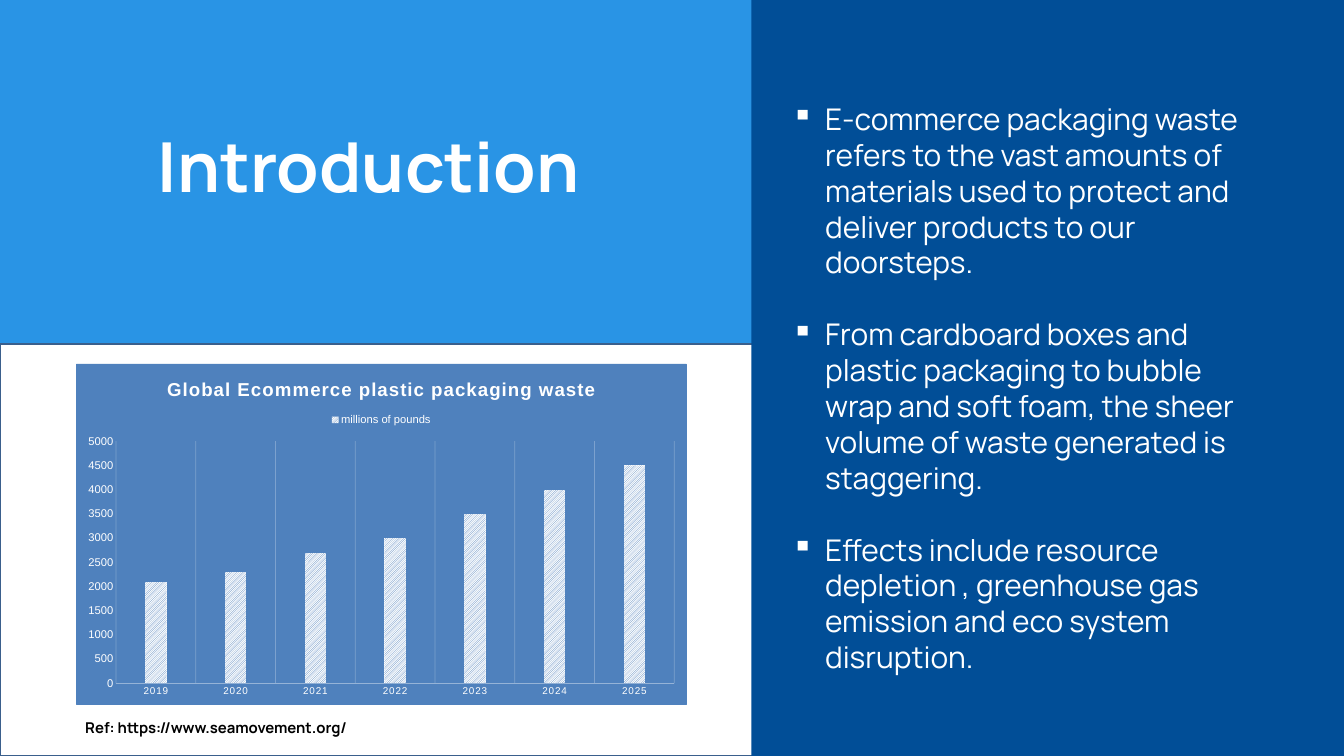
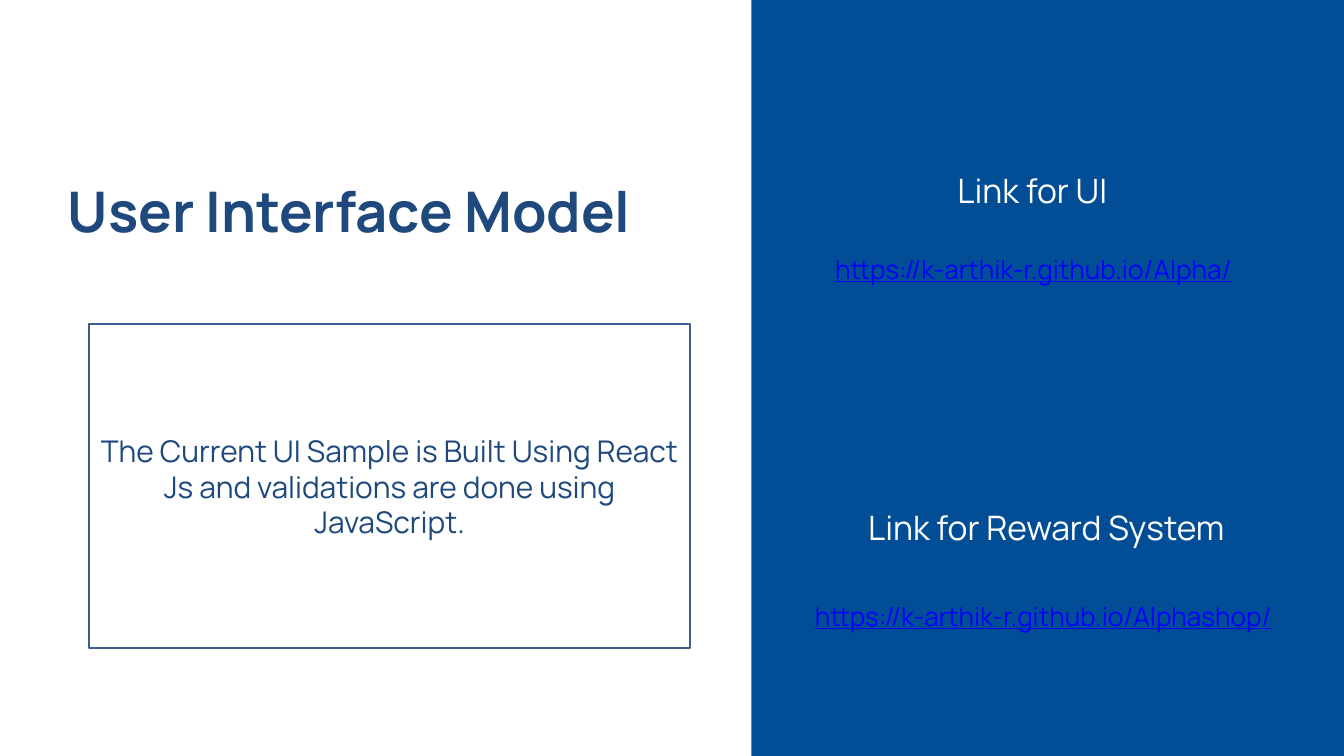
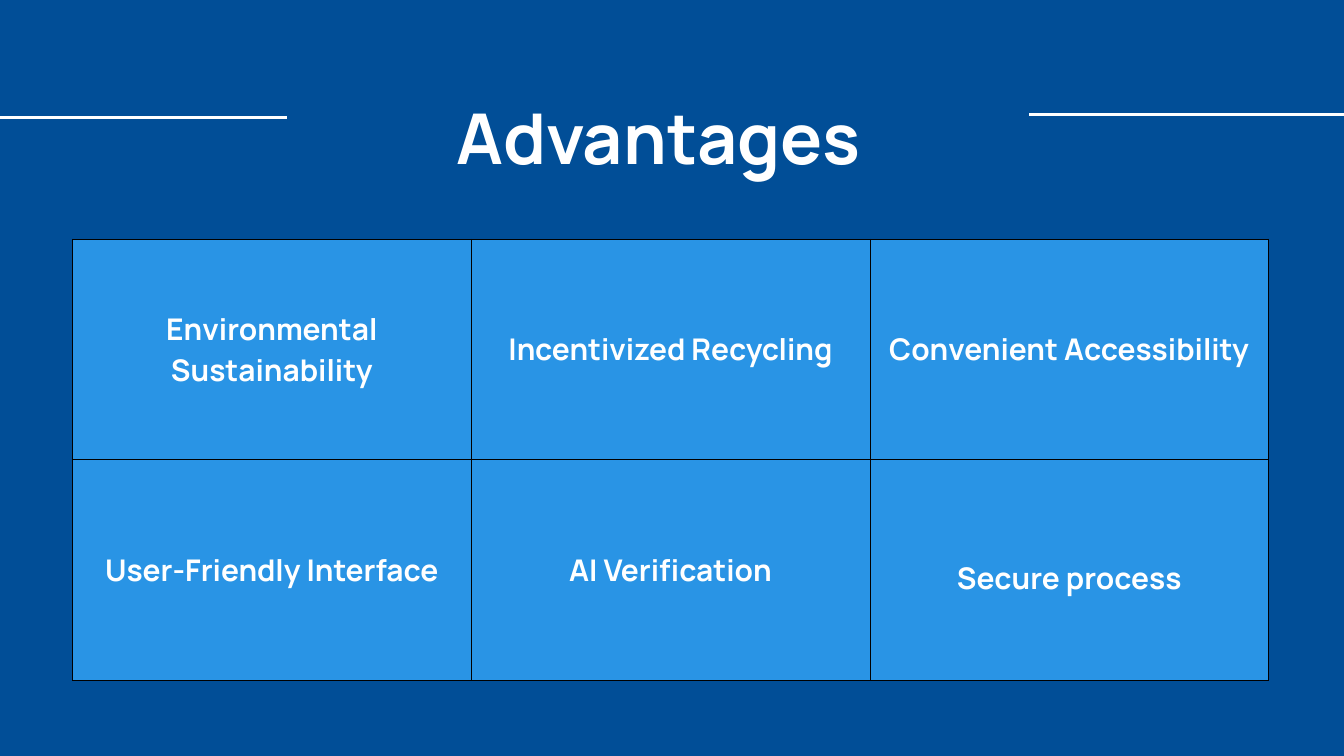
"""Build three slides on e-commerce packaging waste and its recycling app."""
from dataclasses import dataclass

from lxml.etree import SubElement
from pptx import Presentation
from pptx.chart.data import CategoryChartData
from pptx.dml.color import RGBColor
from pptx.enum.chart import XL_CHART_TYPE as ChartType
from pptx.enum.chart import XL_LEGEND_POSITION as LegendPosition
from pptx.enum.chart import XL_TICK_MARK as TickMark
from pptx.enum.dml import MSO_PATTERN as Pattern
from pptx.enum.shapes import MSO_CONNECTOR as Connector
from pptx.enum.shapes import MSO_SHAPE as ShapeType
from pptx.enum.text import MSO_ANCHOR as Anchor
from pptx.enum.text import PP_ALIGN as Align
from pptx.oxml import parse_xml
from pptx.oxml.ns import nsdecls, qn
from pptx.util import Inches, Pt


@dataclass(frozen=True)
class Theme:
    sky: RGBColor = RGBColor.from_string("2994E5")
    navy: RGBColor = RGBColor.from_string("014E97")
    ink: RGBColor = RGBColor.from_string("1F497D")
    outline: RGBColor = RGBColor.from_string("3A5F8C")
    chart: RGBColor = RGBColor.from_string("4F81BD")
    axis: RGBColor = RGBColor.from_string("95B3D7")
    link: RGBColor = RGBColor.from_string("0000FF")
    white: RGBColor = RGBColor.from_string("FFFFFF")
    black: RGBColor = RGBColor.from_string("000000")
    font: str = "Manrope"
    chart_font: str = "Arial"
    heading: float = 36
    body: float = 32
    url: float = 28
    reference: float = 16
    chart_title: float = 20
    chart_label: float = 12
    category_label: float = 10.6


THEME = Theme()


@dataclass(frozen=True)
class Box:
    left: float
    top: float
    width: float
    height: float

    def lengths(self) -> tuple:
        return tuple(Inches(n) for n in (self.left, self.top, self.width, self.height))


@dataclass(frozen=True)
class Style:
    size: float = THEME.body
    color: RGBColor = THEME.white
    bold: bool = False
    underline: bool = False
    name: str = THEME.font


@dataclass(frozen=True)
class Label:
    text: str
    box: Box
    style: Style


SLIDE_WIDTH, SLIDE_HEIGHT = 20, 11.25
PANEL = Box(11.18, 0, 8.82, SLIDE_HEIGHT)
BULLETS = (
    "E-commerce packaging waste refers to the vast amounts of materials used to "
    "protect and deliver products to our doorsteps.",
    "From cardboard boxes and plastic packaging to bubble wrap and soft foam, the "
    "sheer volume of waste generated is staggering.",
    "Effects include resource depletion , greenhouse gas emission and eco system "
    "disruption.",
)
WASTE = {"2019": 2100, "2020": 2300, "2021": 2700, "2022": 3000,
         "2023": 3500, "2024": 4000, "2025": 4500}
HEADING = Style(THEME.heading)
URL = Style(THEME.url, THEME.link, underline=True)
LINK_LABELS = (
    Label("Link for UI", Box(14.15, 2.48, 2.85, 1.11), HEADING),
    Label("https://k-arthik-r.github.io/Alpha/", Box(12.33, 3.72, 6.3, 0.57), URL),
    Label("Link for Reward System", Box(12.82, 7.49, 5.85, 1.11), HEADING),
    Label("https://k-arthik-r.github.io/Alphashop/", Box(12.03, 8.89, 7.3, 0.57), URL),
)
ADVANTAGES = (
    ("Environmental Sustainability", "Incentivized Recycling", "Convenient Accessibility"),
    ("User-Friendly Interface", "AI Verification", "Secure process"),
)


def apply_font(font, style: Style) -> None:
    font.name, font.size, font.bold = style.name, Pt(style.size), style.bold
    font.color.rgb = style.color
    if style.underline:
        font.underline = True


def new_slide(presentation, color: RGBColor):
    slide = presentation.slides.add_slide(presentation.slide_layouts[6])
    slide.background.fill.solid()
    slide.background.fill.fore_color.rgb = color
    return slide


def add_rectangle(slide, box: Box, fill: RGBColor, outline: RGBColor | None = None):
    shape = slide.shapes.add_shape(ShapeType.RECTANGLE, *box.lengths())
    shape.shadow.inherit = False
    shape.fill.solid()
    shape.fill.fore_color.rgb = fill
    if outline is None:
        shape.line.fill.background()
    else:
        shape.line.color.rgb, shape.line.width = outline, Pt(2)
    return shape


def add_label(slide, label: Label):
    frame = slide.shapes.add_textbox(*label.box.lengths()).text_frame
    frame.word_wrap = True
    paragraph = frame.paragraphs[0]
    paragraph.text = label.text
    apply_font(paragraph.font, label.style)
    return frame


def add_title(slide, label: Label, align: Align = Align.LEFT) -> None:
    frame = add_label(slide, label)
    frame.margin_left = frame.margin_right = frame.margin_top = frame.margin_bottom = 0
    frame.paragraphs[0].line_spacing = 1.2
    frame.paragraphs[0].alignment = align


def add_bullets(slide, box: Box, texts: tuple[str, ...]) -> None:
    frame = slide.shapes.add_textbox(*box.lengths()).text_frame
    frame.word_wrap = True
    for index, text in enumerate(texts):
        paragraph = frame.add_paragraph() if index else frame.paragraphs[0]
        paragraph.text = text
        properties = paragraph._p.get_or_add_pPr()
        properties.set("marL", str(Inches(0.5)))
        properties.set("indent", str(-Inches(0.5)))
        color = SubElement(properties, qn("a:buClr"))
        SubElement(color, qn("a:srgbClr"), val=str(THEME.white))
        SubElement(properties, qn("a:buChar"), char="▪")
        if index:
            paragraph.space_before = Pt(38.6)
        apply_font(paragraph.font, Style())


def add_waste_chart(slide, box: Box) -> None:
    data = CategoryChartData()
    data.categories = list(WASTE)
    data.add_series("millions of pounds", list(WASTE.values()))
    chart = slide.shapes.add_chart(ChartType.COLUMN_CLUSTERED, *box.lengths(), data).chart
    label_style = Style(THEME.chart_label, name=THEME.chart_font)
    apply_font(chart.font, label_style)
    chart._chartSpace.xpath("c:txPr")[0].addprevious(parse_xml(
        f'<c:spPr {nsdecls("c", "a")}><a:solidFill><a:srgbClr val="{THEME.chart}"/></a:solidFill>'
        f'<a:ln w="{Pt(0.75)}"><a:solidFill><a:srgbClr val="{THEME.chart}"/></a:solidFill></a:ln>'
        "</c:spPr>"))

    title = chart.chart_title.text_frame.paragraphs[0]
    title.text = "Global Ecommerce plastic packaging waste"
    title_font = title.runs[0].font
    apply_font(title_font, Style(THEME.chart_title, bold=True, name=THEME.chart_font))
    title_font._rPr.set("spc", "100")

    chart.has_legend = True
    chart.legend.position = LegendPosition.TOP
    chart.legend.include_in_layout = False
    apply_font(chart.legend.font, label_style)

    plot = chart.plots[0]
    plot.gap_width, plot.overlap, plot.vary_by_categories = 269, -20, False
    fill = plot.series[0].format.fill
    fill.patterned()
    fill.pattern = Pattern.LIGHT_UPWARD_DIAGONAL
    fill.fore_color.rgb, fill.back_color.rgb = THEME.chart, THEME.white

    values, years = chart.value_axis, chart.category_axis
    for axis in (values, years):
        axis.major_tick_mark = axis.minor_tick_mark = TickMark.NONE
    values.minimum_scale, values.maximum_scale, values.major_unit = 0, 5000, 500
    values.has_major_gridlines = False
    values.format.line.fill.background()
    apply_font(values.tick_labels.font, label_style)

    years.format.line.color.rgb, years.format.line.width = THEME.axis, Pt(0.25)
    years.has_major_gridlines = True
    grid = years.major_gridlines.format.line
    grid.color.rgb, grid.width = THEME.white, Pt(0.75)
    grid_color = years._element.xpath("c:majorGridlines//a:srgbClr")[0]
    SubElement(grid_color, qn("a:alpha"), val="25000")
    year_font = years.tick_labels.font
    apply_font(year_font, Style(THEME.category_label, name=THEME.chart_font))
    year_font._rPr.set("spc", "100")


def add_rule(slide, left: float, right: float, top: float) -> None:
    line = slide.shapes.add_connector(
        Connector.STRAIGHT, Inches(left), Inches(top), Inches(right), Inches(top))
    line.line.color.rgb, line.line.width = THEME.white, Pt(3)
    SubElement(line._element.spPr, qn("a:effectLst"))


def add_borders(cell) -> None:
    properties = cell._tc.get_or_add_tcPr()
    for index, side in enumerate(("lnL", "lnR", "lnT", "lnB")):
        properties.insert(index, parse_xml(
            f'<a:{side} {nsdecls("a")} w="{Pt(0.75)}"><a:solidFill>'
            f'<a:srgbClr val="{THEME.black}"/></a:solidFill></a:{side}>'))


def add_advantages_table(slide, box: Box) -> None:
    rows, columns = len(ADVANTAGES), len(ADVANTAGES[0])
    table = slide.shapes.add_table(rows, columns, *box.lengths()).table
    table.first_row = table.horz_banding = False
    for row, texts in enumerate(ADVANTAGES):
        for column, text in enumerate(texts):
            cell = table.cell(row, column)
            cell.fill.solid()
            cell.fill.fore_color.rgb = THEME.sky
            cell.vertical_anchor = Anchor.MIDDLE
            cell.margin_left = cell.margin_right = Inches(0.21)
            cell.margin_top = cell.margin_bottom = Inches(0.21)
            add_borders(cell)
            paragraph = cell.text_frame.paragraphs[0]
            paragraph.text, paragraph.alignment = text, Align.CENTER
            apply_font(paragraph.font, Style(bold=True))
    table.cell(rows - 1, columns - 1).text_frame.paragraphs[0].line_spacing = 1.4


def build_introduction(presentation) -> None:
    slide = new_slide(presentation, THEME.sky)
    add_rectangle(slide, Box(0, 5.12, 11.35, 6.13), THEME.white, THEME.outline)
    add_rectangle(slide, PANEL, THEME.navy)
    add_title(slide, Label("Introduction", Box(2.35, 1.59, 6.43, 1.49), Style(73.8, bold=True)))
    add_bullets(slide, Box(11.68, 1.45, 7.15, 9.26), BULLETS)
    add_waste_chart(slide, Box(1.13, 5.41, 9.09, 5.07))
    add_label(slide, Label("Ref: https://www.seamovement.org/", Box(1.17, 10.65, 9.05, 0.37),
                           Style(THEME.reference, THEME.black, bold=True)))


def build_interface(presentation) -> None:
    slide = new_slide(presentation, THEME.white)
    note = add_rectangle(slide, Box(1.33, 4.82, 8.94, 4.83), THEME.white, THEME.outline)
    note.text_frame.word_wrap = True
    note.text_frame.vertical_anchor = Anchor.MIDDLE
    paragraph = note.text_frame.paragraphs[0]
    paragraph.text = ("The Current UI Sample is Built Using React Js and validations "
                      "are done using JavaScript.")
    paragraph.alignment = Align.CENTER
    apply_font(paragraph.font, Style(color=THEME.ink))
    add_rectangle(slide, PANEL, THEME.navy)
    add_title(slide, Label("User Interface Model", Box(1.01, 2.43, 9.47, 1.21),
                           Style(60, THEME.ink, bold=True)))
    for label in LINK_LABELS:
        add_label(slide, label)


def build_advantages(presentation) -> None:
    slide = new_slide(presentation, THEME.navy)
    add_advantages_table(slide, Box(1.08, 3.56, 17.8, 6.56))
    add_title(slide, Label("Advantages", Box(5.06, 1.16, 9.48, 1.51), Style(75, bold=True)),
              Align.CENTER)
    add_rule(slide, -2.83, 4.27, 1.75)
    add_rule(slide, 15.32, 22.43, 1.71)


def main() -> None:
    presentation = Presentation()
    presentation.slide_width = Inches(SLIDE_WIDTH)
    presentation.slide_height = Inches(SLIDE_HEIGHT)
    build_introduction(presentation)
    build_interface(presentation)
    build_advantages(presentation)
    presentation.save("out.pptx")


if __name__ == "__main__":
    main()
